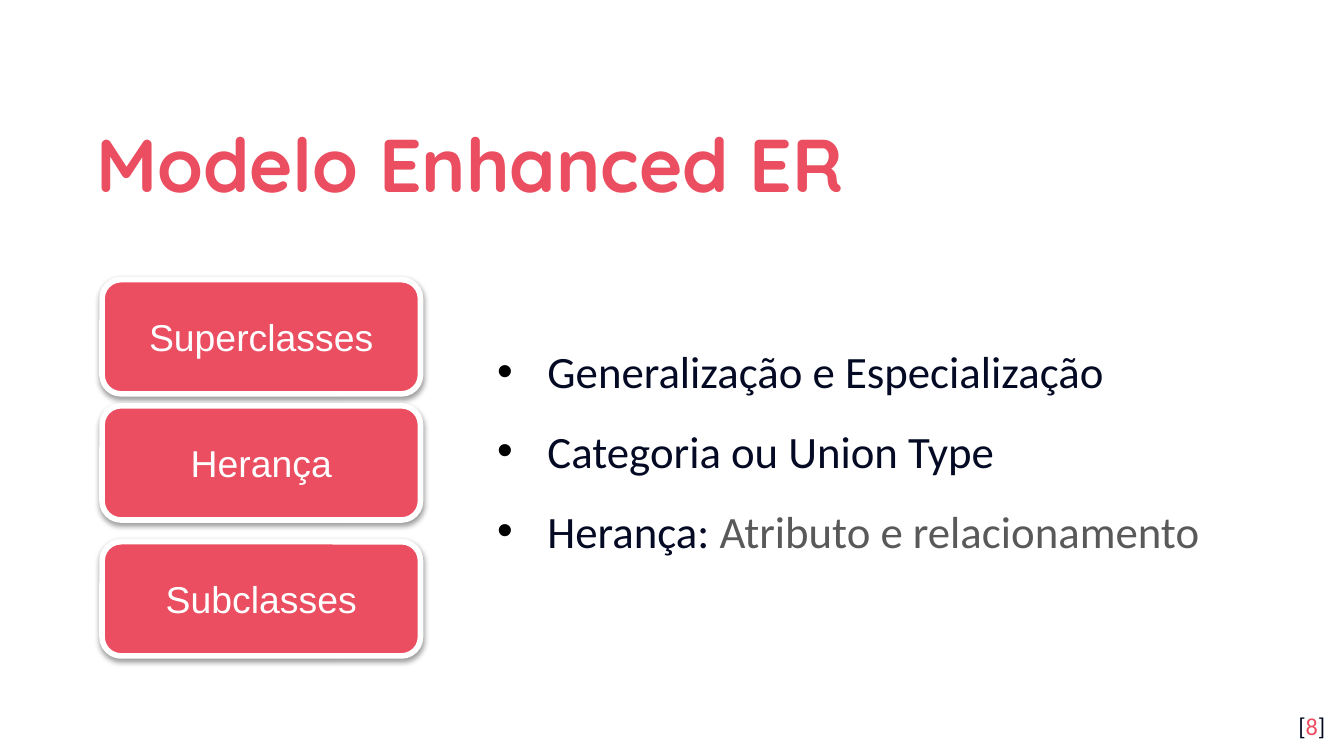
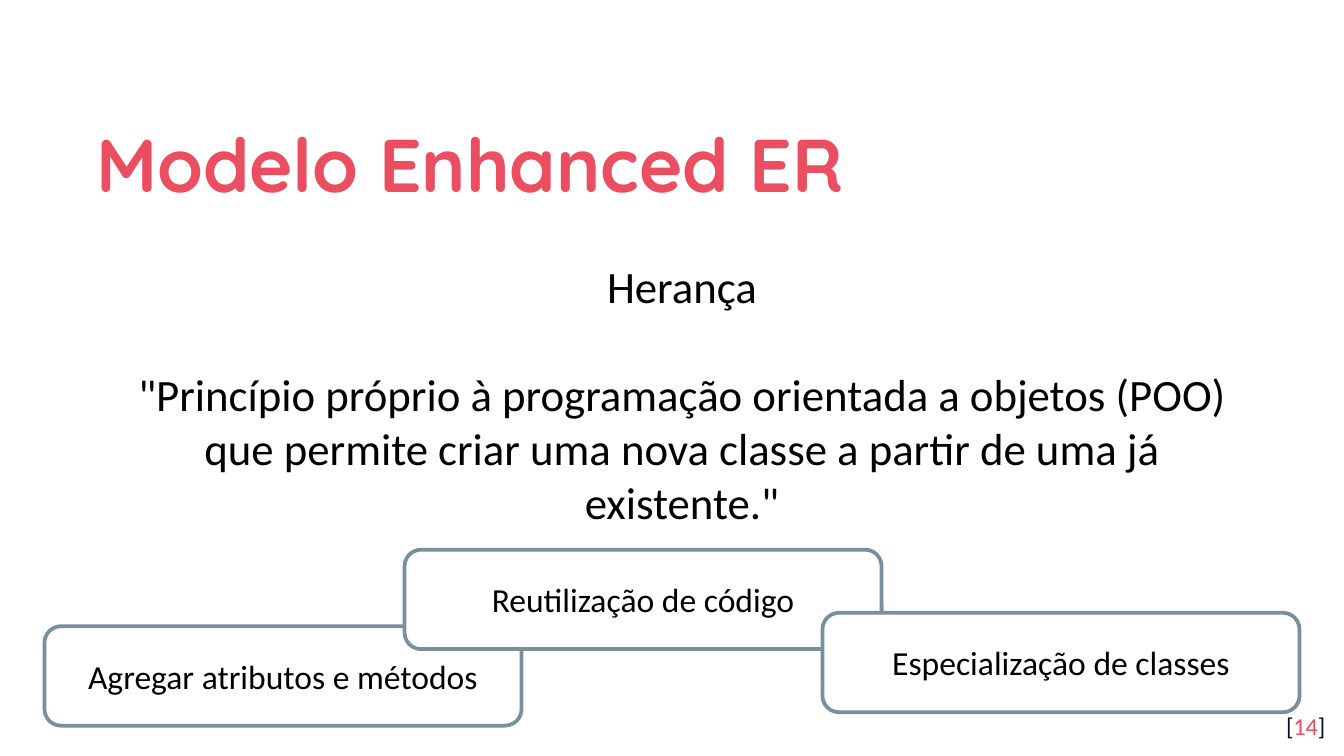
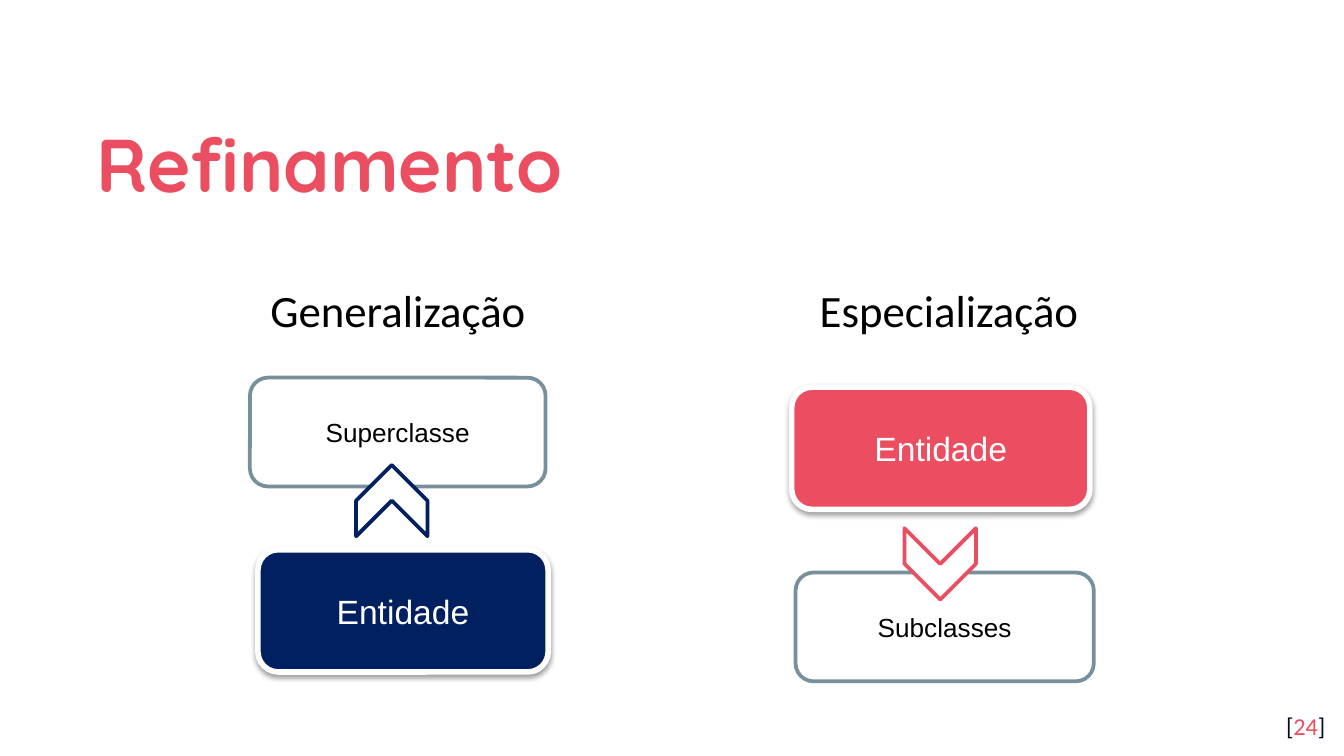
from lxml.etree import SubElement
from pptx import Presentation
from pptx.dml.color import RGBColor
from pptx.enum.shapes import MSO_SHAPE as Preset
from pptx.enum.text import MSO_ANCHOR as Anchor, PP_ALIGN as Align
from pptx.oxml.ns import qn
from pptx.util import Pt

CORAL = RGBColor(0xEA, 0x4E, 0x60)
NAVY = RGBColor(0x00, 0x20, 0x60)
INK = RGBColor(0x04, 0x0A, 0x24)
GREY = RGBColor(0x59, 0x59, 0x59)
SLATE = RGBColor(0x78, 0x90, 0x9C)
BLACK = RGBColor(0x00, 0x00, 0x00)
WHITE = RGBColor(0xFF, 0xFF, 0xFF)

TITLE = {"name": "Quicksand", "size": Pt(40), "bold": True}
BODY = {"name": "Calibri", "size": Pt(24)}
NUMBER = {"name": "Calibri", "size": Pt(13)}
NOTE = {"name": "Calibri", "size": Pt(18)}
CARD = {"name": "Arial", "size": Pt(20)}
ENTITY = {"name": "Arial", "size": Pt(18)}
CLASS = {"name": "Arial", "size": Pt(14)}

BODY_TOP = 116.6
BODY_HEIGHT = 245.5
BODY_LINE = 29.3
INSET = 7.2


def set_all(target, values):
    for name, value in values.items():
        setattr(target, name, value)


def add_spans(para, spans, font):
    """Fill a paragraph with (text, colour) pairs in one font."""
    for text, colour in spans:
        span = para.add_run()
        span.text = text
        set_all(span.font, font)
        span.font.color.rgb = colour


def add_text(page, place, paragraphs, font, anchor=Anchor.TOP, top_inset=INSET, **layout):
    """Add a text box; paragraphs are lists of (text, colour) pairs."""
    box = page.shapes.add_textbox(*map(Pt, place))
    frame = box.text_frame
    set_all(frame, {
        "word_wrap": True, "vertical_anchor": anchor,
        "margin_left": Pt(INSET), "margin_right": Pt(INSET),
        "margin_top": Pt(top_inset), "margin_bottom": Pt(INSET),
    })
    for index, spans in enumerate(paragraphs):
        para = frame.paragraphs[0] if index == 0 else frame.add_paragraph()
        set_all(para, layout)
        if index == 0:
            para.space_before = Pt(0)
        add_spans(para, spans, font)
    return box


def add_bullets(box, indent):
    for para in box.text_frame.paragraphs:
        props = para._p.get_or_add_pPr()
        props.set("marL", str(Pt(indent)))
        props.set("indent", str(-Pt(indent)))
        colour = SubElement(props, qn("a:buClr"))
        SubElement(colour, qn("a:srgbClr"), val=str(BLACK))
        SubElement(props, qn("a:buFont"), typeface="Arial")
        SubElement(props, qn("a:buChar"), char="•")


def add_shape(page, preset, place, fill, line, width):
    shape = page.shapes.add_shape(preset, *map(Pt, place))
    shape.shadow.inherit = False
    shape.fill.solid()
    shape.fill.fore_color.rgb = fill
    shape.line.color.rgb = line
    shape.line.width = Pt(width)
    return shape


def add_label(shape, text, colour, font):
    frame = shape.text_frame
    set_all(frame, {"word_wrap": True, "vertical_anchor": Anchor.MIDDLE})
    frame.paragraphs[0].alignment = Align.CENTER
    add_spans(frame.paragraphs[0], [(text, colour)], font)


def add_solid_card(page, place, text, font, fill=CORAL):
    """Add a filled rounded card with a white edge and a soft shadow."""
    card = add_shape(page, Preset.ROUNDED_RECTANGLE, place, fill, WHITE, 3)
    effects = card._element.spPr.find(qn("a:effectLst"))
    shadow = SubElement(effects, qn("a:outerShdw"), blurRad=str(Pt(3.1)),
                        dist=str(Pt(1.6)), dir="5400000", rotWithShape="0")
    colour = SubElement(shadow, qn("a:srgbClr"), val=str(BLACK))
    SubElement(colour, qn("a:alpha"), val="38000")
    add_label(card, text, WHITE, font)


def add_outline_card(page, place, text, font):
    card = add_shape(page, Preset.ROUNDED_RECTANGLE, place, WHITE, SLATE, 2)
    add_label(card, text, BLACK, font)


def add_chevron(page, left, top, line, rotation):
    chevron = add_shape(page, Preset.CHEVRON, (left, top, 38.2, 38.2), WHITE, line, 2)
    chevron.rotation = rotation


def add_page(deck, title, number):
    """Add a blank page with the shared title and page number."""
    page = deck.slides.add_slide(deck.slide_layouts[6])
    add_text(page, (44.6, 50.4, 631.4, 66.2), [[(title, CORAL)]], TITLE,
             Anchor.MIDDLE, line_spacing=1.14)
    add_text(page, (673.9, 373.7, 43.2, 31),
             [[("[", INK), (str(number), CORAL), ("]", INK)]], NUMBER,
             alignment=Align.RIGHT)
    return page


def build_concepts(deck):
    page = add_page(deck, "Modelo Enhanced ER", 8)
    topics = [
        [("Generalização e Especialização", INK)],
        [("Categoria ou Union Type", INK)],
        [("Herança: ", INK), ("Atributo e relacionamento", GREY)],
    ]
    box = add_text(page, (259.2, BODY_TOP, 414, BODY_HEIGHT), topics, BODY,
                   Anchor.MIDDLE, line_spacing=1.14, space_before=Pt(10))
    add_bullets(box, 27)
    for top, name in ((149.8, "Superclasses"), (217.4, "Herança"), (290.2, "Subclasses")):
        add_solid_card(page, (54.7, top, 170.6, 61.2), name, CARD)


def build_inheritance(deck):
    page = add_page(deck, "Modelo Enhanced ER", 14)
    quote = ('"Princípio próprio à programação orientada a objetos (POO) que permite '
             'criar uma nova classe a partir de uma já existente."')
    box = add_text(page, (44.6, BODY_TOP, 633.6, BODY_HEIGHT),
                   [[("Herança", BLACK)], [(quote, BLACK)]], BODY, top_inset=22,
                   alignment=Align.CENTER, space_before=Pt(BODY_LINE))
    for para in box.text_frame.paragraphs:
        para._p.get_or_add_pPr().set("marL", str(Pt(8)))
    benefits = (
        (23.8, 335.5, "Agregar atributos e métodos"),
        (216.7, 294.5, "Reutilização de código"),
        (440.6, 328.3, "Especialização de classes"),
    )
    for left, top, text in benefits:
        add_outline_card(page, (left, top, 255.6, 53.3), text, NOTE)


def build_refinement(deck):
    page = add_page(deck, "Refinamento", 24)
    for centre, heading in ((213.2, "Generalização"), (508.4, "Especialização")):
        add_text(page, (centre - 90, 144.3, 180, 44), [[(heading, BLACK)]], BODY,
                 alignment=Align.CENTER)
    add_solid_card(page, (138.2, 294.5, 155.5, 65.5), "Entidade", ENTITY, NAVY)
    add_outline_card(page, (133.9, 202.3, 158.4, 58.3), "Superclasse", CLASS)
    add_chevron(page, 190.8, 249.1, NAVY, 270)
    add_solid_card(page, (424.1, 207.4, 159.8, 65.5), "Entidade", ENTITY)
    add_outline_card(page, (426.2, 306.7, 159.8, 58.3), "Subclasses", CLASS)
    add_chevron(page, 484.6, 283, CORAL, 90)


def main():
    deck = Presentation()
    set_all(deck, {"slide_width": Pt(720), "slide_height": Pt(405)})
    build_concepts(deck)
    build_inheritance(deck)
    build_refinement(deck)
    deck.save("out.pptx")


if __name__ == "__main__":
    main()
